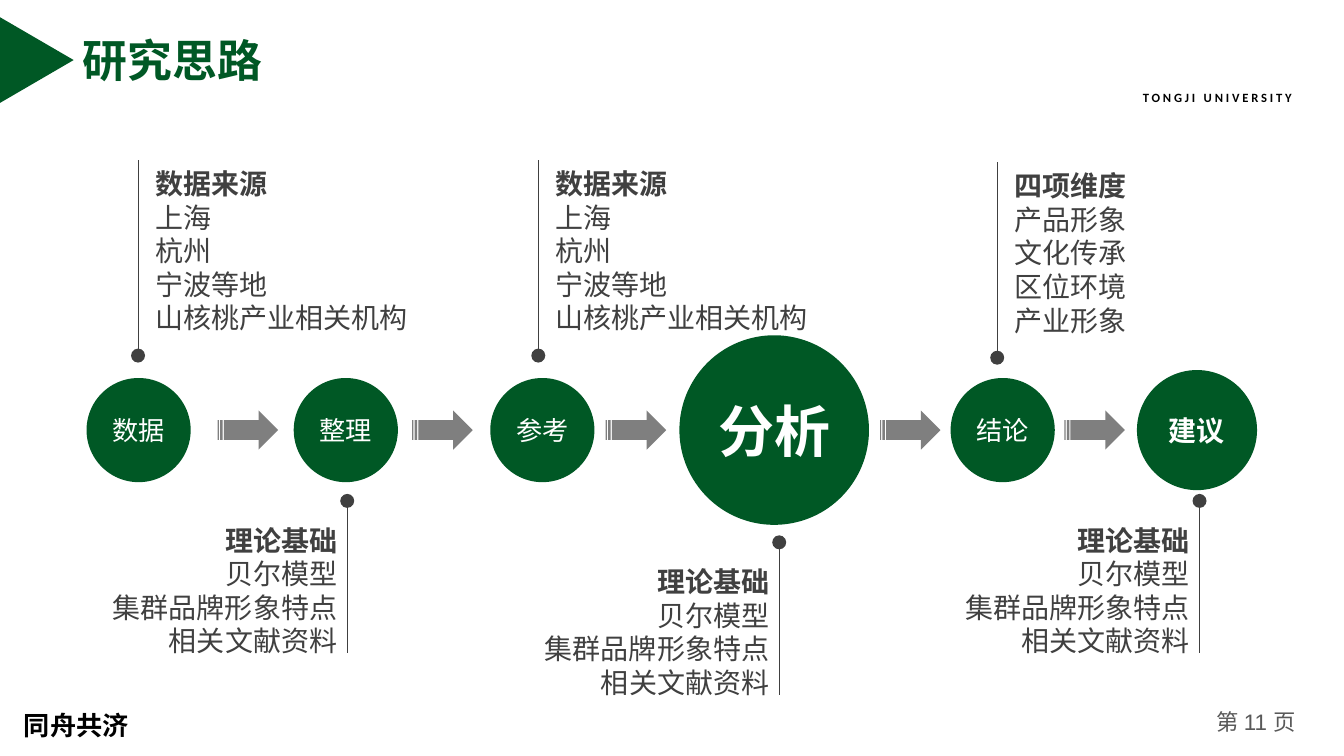
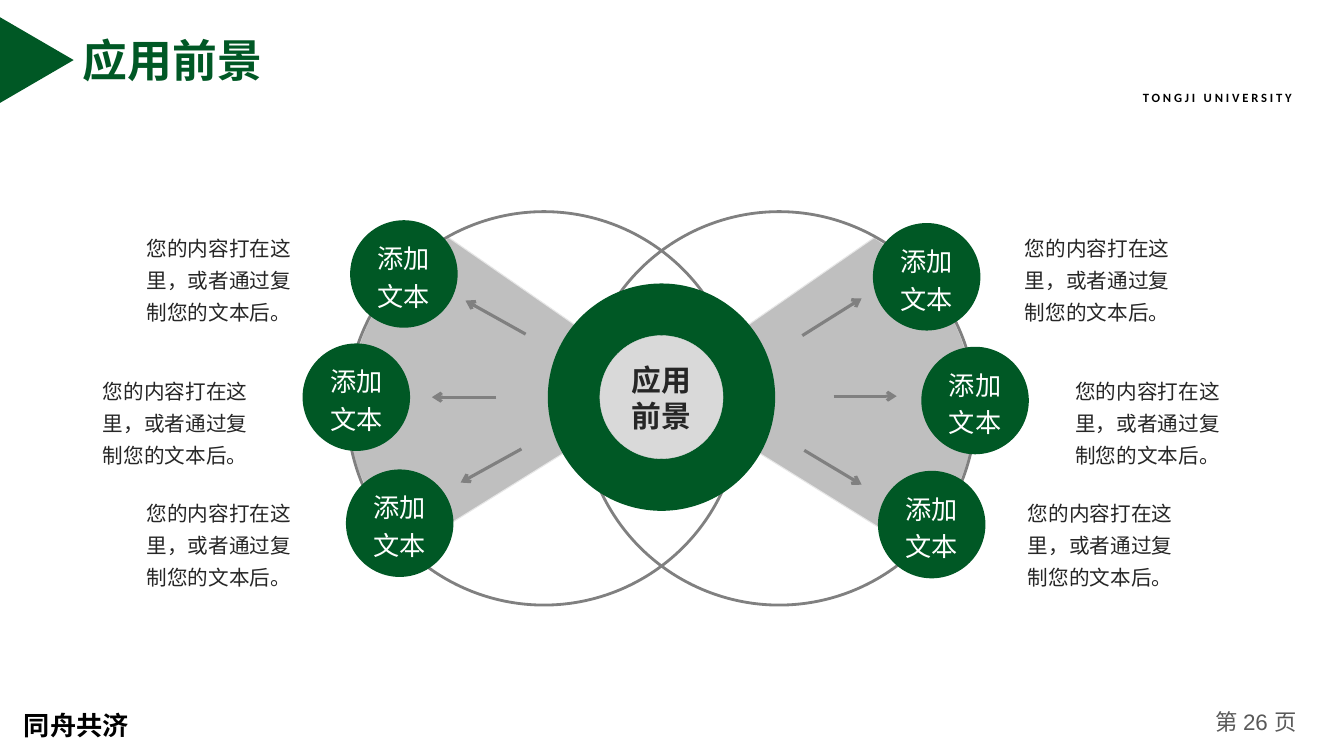
from lxml import etree
from pptx import Presentation
from pptx import util as u
from pptx.dml.color import RGBColor
from pptx.enum import shapes, text
from pptx.oxml.ns import qn

GREEN, WHITE, BLACK = "005825", "FFFFFF", "000000"
INK, DARK, MID, RING = "262626", "404040", "7F7F7F", "808080"
CJK = "Noto Sans CJK SC"
SHAPE, ALIGN, ANCHOR = shapes.MSO_SHAPE, text.PP_ALIGN, text.MSO_ANCHOR

# Text formats
TITLE = {"size": 32, "bold": True, "name": "Arial", "color": GREEN}
MOTTO = {"size": 18.7, "bold": True, "name": CJK, "color": BLACK}
SCHOOL = {"size": 9, "bold": True, "name": "Calibri", "color": BLACK}
NUMBER = {"size": 16, "name": "Arial", "color": "595959"}
STEP = {"size": 18.7, "name": CJK, "color": WHITE}
BODY = {"size": 20, "bold": False, "name": CJK, "color": DARK}
NODE = {"size": 18.7, "name": "Arial", "color": WHITE}
CORE = {"size": 21.3, "bold": True, "name": "Arial Narrow", "color": INK}
NOTE = {"size": 14.7, "name": CJK, "color": INK}

# Flow content: label, centre x, diameter, format
STEPS = [
    ("数据", 39, 74.4, STEP),
    ("整理", 187, 74.4, STEP),
    ("参考", 327.4, 74.4, STEP),
    ("分析", 493, 135.4, {**STEP, "size": 40, "bold": True}),
    ("结论", 656.2, 74.4, STEP),
    ("建议", 795, 85.8, {**STEP, "size": 20, "bold": True}),
]
STEP_ARROWS = [95.5, 234.5, 372.7, 568.6, 700.3]
SOURCES = ["数据来源", "上海", "杭州", "宁波等地", "山核桃产业相关机构"]
DIMENSIONS = ["四项维度", "产品形象", "文化传承", "区位环境", "产业形象"]
THEORY = ["理论基础", "贝尔模型", "集群品牌形象特点", "相关文献资料"]
# Pin x, dot centre y, lines, above the row or below it
CALLOUTS = [
    (38.6, 144, SOURCES, True),
    (324.5, 144, SOURCES, True),
    (652.3, 145.5, DIMENSIONS, True),
    (188, 247.8, THEORY, False),
    (496.6, 277.4, THEORY, False),
    (796.8, 247.8, THEORY, False),
]

# Spokes, measured from the hub: node centre, arrow start, arrow end, note corner
SPOKES = [
    ((-184, -88), (-97, -45), (-140, -69), (-375, -124)),
    ((-218, 0), (-118, 0), (-164, 0), (-406, -22)),
    ((-187, 90), (-100, 37), (-143.5, 61), (-375, 65.5)),
    ((189.4, -86), (100.6, -44), (143, -70.6), (252.5, -124)),
    ((224, 2.4), (123, -0.7), (168, -0.7), (288.5, -22)),
    ((193, 91), (102, 38), (143, 62.5), (254.7, 65.5)),
]
# Right-hand fan, measured from its apex: straight edges, then rounded edges
FAN_EDGES = [(156, -108), (0, 0), (185, 115)]
FAN_CURVES = [
    [(185, 115), (230, 60), (225, 41), (228, 12)],
    [(228, 12), (226, -12), (221, -37), (208, -57)],
    [(208, -57), (186, -87), (191, -85), (156, -108)],
]


def colour(value):
    return RGBColor.from_string(value)


def points(*values):
    return [u.Pt(value) for value in values]


def set_font(span, values):
    values = dict(values)
    span.font.color.rgb = colour(values.pop("color"))
    values["size"] = u.Pt(values["size"])
    for key, value in values.items():
        setattr(span.font, key, value)
    etree.SubElement(span.font._element, qn("a:ea"), typeface=CJK)


def write(box, paras, align=ALIGN.LEFT, anchor=ANCHOR.TOP, pitch=None, wrap=True):
    """Fill a box with paragraphs, each a list of (text, format) spans."""
    frame = box.text_frame
    frame_values = {"word_wrap": wrap, "auto_size": text.MSO_AUTO_SIZE.NONE,
                    "vertical_anchor": anchor}
    for key, value in frame_values.items():
        setattr(frame, key, value)
    for index, spans in enumerate(paras):
        para = frame.add_paragraph() if index else frame.paragraphs[0]
        para.alignment = align
        if pitch:
            para.line_spacing = u.Pt(pitch)
        for words, values in spans:
            span = para.add_run()
            span.text = words
            set_font(span, values)
    return frame


def add_text(page, box, paras, **layout):
    return write(page.shapes.add_textbox(*points(*box)), paras, **layout)


def paint(shape, fill=None, line=None, width=1):
    shape.shadow.inherit = False
    if fill:
        shape.fill.solid()
        shape.fill.fore_color.rgb = colour(fill)
    else:
        shape.fill.background()
    if line:
        shape.line.color.rgb = colour(line)
        shape.line.width = u.Pt(width)
    else:
        shape.line.fill.background()
    return shape


def add_shape(page, kind, box, **style):
    return paint(page.shapes.add_shape(kind, *points(*box)), **style)


def add_disc(page, x, y, size, **style):
    box = (x - size / 2, y - size / 2, size, size)
    return add_shape(page, SHAPE.OVAL, box, **style)


def add_label(disc, words, values, pitch=None):
    write(disc, [[(words, values)]], ALIGN.CENTER, ANCHOR.MIDDLE, pitch)


def add_line(page, start, end, line, width, arrow=False):
    connector = page.shapes.add_connector(
        shapes.MSO_CONNECTOR.STRAIGHT, *points(*start, *end))
    connector.line.color.rgb = colour(line)
    connector.line.width = u.Pt(width)
    properties = connector.element.spPr
    if arrow:
        etree.SubElement(properties.find(qn("a:ln")), qn("a:tailEnd"), type="arrow")
    etree.SubElement(properties, qn("a:effectLst"))


def add_page(deck, title, number):
    """Slide with the shared title, marker and footers."""
    page = deck.slides.add_slide(deck.slide_layouts[5])

    # Footers and school name
    add_text(page, (854, 502.5, 86.4, 29),
             [[("第 ", {**NUMBER, "name": CJK}), (f"{number} ", NUMBER),
               ("页", {**NUMBER, "name": CJK})]], align=ALIGN.CENTER)
    school = add_text(page, (809.3, 60.5, 138, 17.3),
                      [[("TONGJI UNIVERSITY", SCHOOL)]], align=ALIGN.JUSTIFY)
    school.paragraphs[0].runs[0].font._element.set("spc", "200")
    add_text(page, (10, 491.8, 98.6, 38), [[("同舟共济", MOTTO)]], pitch=34)

    # Title and marker
    heading = page.shapes.title
    heading.left, heading.top, heading.width, heading.height = points(
        49.7, 18.7, 148.3, 48.2)
    frame = write(heading, [[(title, TITLE)]], anchor=ANCHOR.MIDDLE, wrap=False)
    frame.margin_left = frame.margin_right = u.Pt(9.4)
    marker = add_shape(page, SHAPE.ISOSCELES_TRIANGLE, (-4.3, 16.6, 61.2, 52.6),
                       fill=GREEN)
    marker.rotation = 90
    return page


def add_callout(page, x, y, lines, above):
    """Pin with a dot at (x, y) and text beside its line."""
    radius = 5
    add_disc(page, x, y, 2 * radius, fill=DARK)
    if above:
        end = y - radius - 135
        start, corner, width, align = y - radius, (x + 5.3, end + 1.4), 197, ALIGN.LEFT
    else:
        end = y + radius + 103.7
        start, width, align = y + radius, 176.4, ALIGN.RIGHT
        corner = (x - width, y + 12.3)
    add_line(page, (x, start), (x, end), DARK, 0.5)
    paras = [[(words, {**BODY, "bold": index == 0})]
             for index, words in enumerate(lines)]
    add_text(page, (*corner, width, 24 * len(lines) + 8), paras,
             align=align, pitch=24)


def draw_flow(page, box):
    """Row of steps joined by arrows, with callouts above and below."""
    left, top, width, height = box
    row = top + height / 2
    for words, x, size, values in STEPS:
        add_label(add_disc(page, left + x, row, size, fill=GREEN), words, values)
    for x in STEP_ARROWS:
        add_shape(page, SHAPE.STRIPED_RIGHT_ARROW, (left + x, row - 14, 43.2, 28),
                  fill=MID)
    for x, y, lines, above in CALLOUTS:
        add_callout(page, left + x, top + y, lines, above)


def curve_points(knots, steps=12):
    """Points along a cubic curve, after its first knot."""
    for step in range(1, steps + 1):
        t = step / steps
        weights = [(1 - t) ** 3, 3 * t * (1 - t) ** 2, 3 * t ** 2 * (1 - t), t ** 3]
        yield tuple(sum(weight * knot[axis] for weight, knot in zip(weights, knots))
                    for axis in (0, 1))


def add_fan(page, x, y, side):
    outline = FAN_EDGES + [spot for knots in FAN_CURVES for spot in curve_points(knots)]
    spots = [points(x + side * dx, y + dy) for dx, dy in outline]
    builder = page.shapes.build_freeform(*spots[0], scale=1.0)
    builder.add_line_segments(spots[1:], close=True)
    paint(builder.convert_to_shape(), fill="BFBFBF", line="E6E6E6", width=0.75)


def draw_hub(page, box):
    """Hub with a fan, a ring and three spokes on each side."""
    left, top, width, height = box
    x, y = left + width / 2, top + height / 2

    def place(spot):
        return x + spot[0], y + spot[1]

    # Fans and rings
    for side in (1, -1):
        add_fan(page, x - 4 * side, y - 6, side)
    for side in (-1, 1):
        add_disc(page, x + 84 * side, y + 8, 281, line=RING, width=2)

    # Arrows lie under the hub, nodes and notes
    for _, start, end, _ in SPOKES:
        add_line(page, place(start), place(end), RING, 2.25, arrow=True)
    add_disc(page, x, y, 162.4, fill=GREEN)
    core = add_disc(page, x, y, 88, fill="D9D9D9", line="D7D7D7", width=0.25)
    add_label(core, "应用前景", CORE, pitch=25.7)
    for node, _, _, note in SPOKES:
        disc = add_disc(page, *place(node), 76.8, fill=GREEN)
        add_label(disc, "添加文本", NODE, pitch=26.8)
        add_text(page, (*place(note), 125.3, 74.2),
                 [[("您的内容打在这里，或者通过复制您的文本后。", NOTE)]], pitch=22.9)


def main():
    deck = Presentation()
    deck.slide_width, deck.slide_height = points(960, 540)
    draw_flow(add_page(deck, "研究思路", 11), (60, 110, 840, 394.4))
    draw_hub(add_page(deck, "应用前景", 26), (66, 151, 813, 265.4))
    deck.save("out.pptx")


if __name__ == "__main__":
    main()
